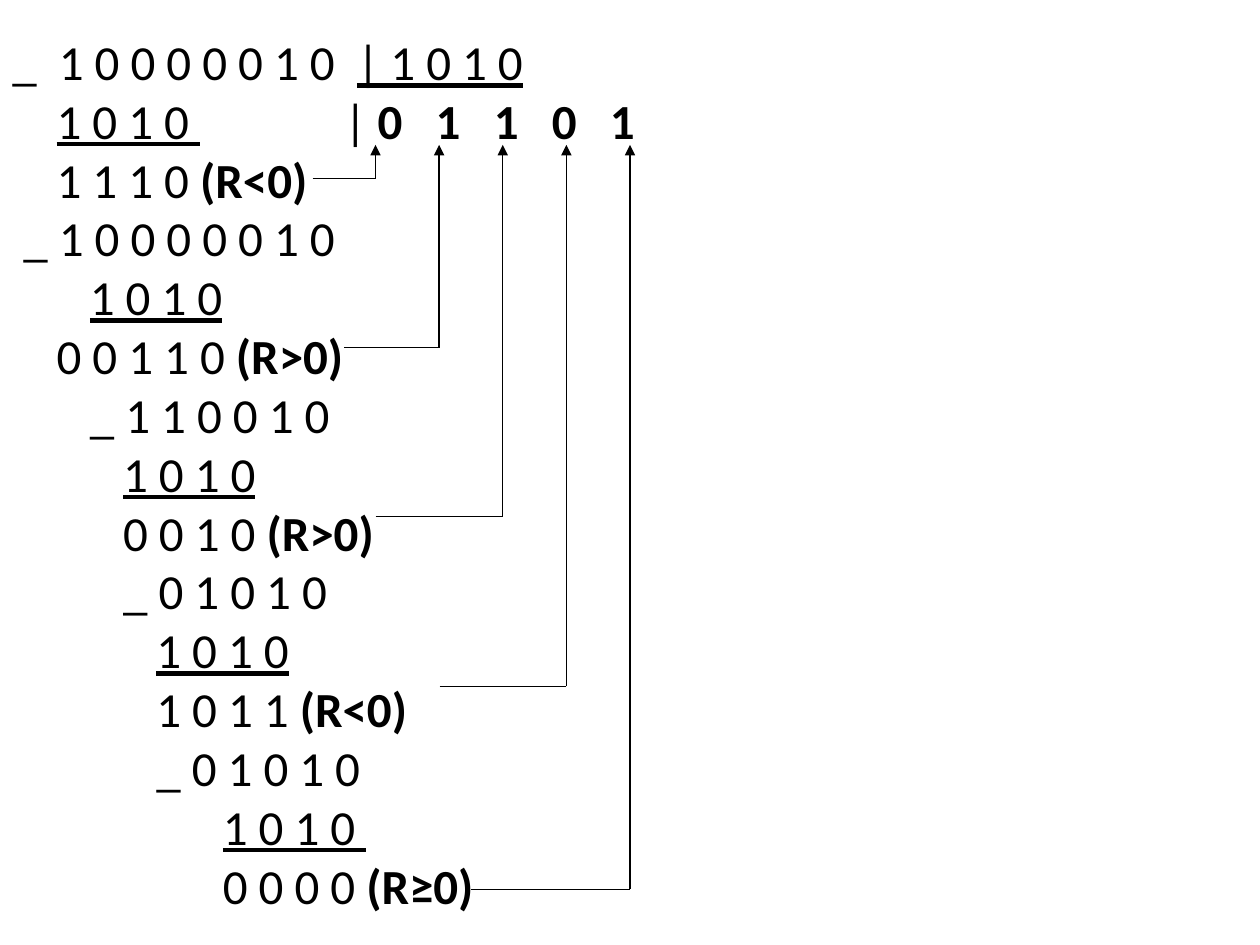
from lxml import etree
from pptx import Presentation
from pptx.dml.color import RGBColor
from pptx.enum.shapes import MSO_CONNECTOR
from pptx.enum.text import MSO_AUTO_SIZE
from pptx.oxml.ns import qn
from pptx.util import Pt

BLACK = RGBColor(0, 0, 0)
STEP = 6.33  # width of one space at 28 pt
PLAIN, UNDERLINE, BOLD, GAP = "plain", "underline", "bold", "gap"

presentation = Presentation()
presentation.slide_width, presentation.slide_height = Pt(720), Pt(540)
slide = presentation.slides.add_slide(presentation.slide_layouts[6])

# Quotient digits, parted by wide gaps
quotient_runs = [("0", BOLD)]
for digit in "1101":
    quotient_runs += [(3, GAP), (digit, BOLD)]

# Division steps: indent in spaces, then runs; a gap gives its width in spaces
division_rows = [
    (0, [("_", PLAIN), (2, GAP), ("1 0 0 0 0 0 1 0", PLAIN), (2, GAP), ("| 1 0 1 0", UNDERLINE)]),
    (4, [("1 0 1 0 ", UNDERLINE), (13, GAP), ("| ", PLAIN)] + quotient_runs),
    (4, [("1 1 1 0 ", PLAIN), ("(R<0)", BOLD)]),
    (1, [("_ 1 0 0 0 0 0 1 0", PLAIN)]),
    (7, [("1 0 1 0", UNDERLINE)]),
    (4, [("0 0 1 1 0 ", PLAIN), ("(R>0)", BOLD)]),
    (7, [("_ 1 1 0 0 1 0", PLAIN)]),
    (10, [("1 0 1 0", UNDERLINE)]),
    (10, [("0 0 1 0 ", PLAIN), ("(R>0)", BOLD)]),
    (10, [("_ 0 1 0 1 0", PLAIN)]),
    (13, [("1 0 1 0", UNDERLINE)]),
    (13, [("1 0 1 1 ", PLAIN), ("(R<0)", BOLD)]),
    (13, [("_ 0 1 0 1 0", PLAIN)]),
    (19, [("1 0 1 0 ", UNDERLINE)]),
    (19, [("0 0 0 0 ", PLAIN), ("(R≥0)", BOLD)]),
]

division_box = slide.shapes.add_textbox(Pt(0), Pt(14.4), Pt(720), Pt(516.2))
text_frame = division_box.text_frame
text_frame.word_wrap = True
text_frame.auto_size = MSO_AUTO_SIZE.SHAPE_TO_FIT_TEXT

for index, (indent, runs) in enumerate(division_rows):
    paragraph = text_frame.add_paragraph() if index else text_frame.paragraphs[0]
    properties = paragraph._p.get_or_add_pPr()
    properties.set("marL", str(Pt(indent * STEP)))
    properties.set("indent", "0")
    for content, style in runs:
        run = paragraph.add_run()
        run.text = " " if style == GAP else content
        run.font.name = "Calibri"
        run.font.size = Pt(28)
        run.font.color.rgb = BLACK
        run.font.bold = style == BOLD
        run.font.underline = style == UNDERLINE
        if style == GAP:  # one space, widened by character spacing
            run._r.get_or_add_rPr().set("spc", str(round((content - 1) * STEP * 100)))

# Arrows from each remainder up to its quotient digit
arrow_group = slide.shapes.add_group_shape()


def add_line(start_x, start_y, end_x, end_y, arrow=False):
    connector = arrow_group.shapes.add_connector(
        MSO_CONNECTOR.STRAIGHT, Pt(start_x), Pt(start_y), Pt(end_x), Pt(end_y))
    connector.line.color.rgb = BLACK
    connector.line.width = Pt(0.75)
    if arrow:
        etree.SubElement(connector.line._get_or_add_ln(), qn("a:tailEnd"), type="triangle")
    etree.SubElement(connector._element.spPr, qn("a:effectLst"))


ARROW_TOP = 82.8
remainder_ends = [(178.6, 102.2), (196.6, 198.7), (214.6, 295.3), (251.2, 392.2), (269.3, 508.2)]
for column, (start_x, start_y) in enumerate(remainder_ends):
    digit_x = 214.6 + 36.35 * column
    add_line(start_x, start_y, digit_x, start_y)
    add_line(digit_x, start_y, digit_x, ARROW_TOP, arrow=True)

presentation.save("out.pptx")
